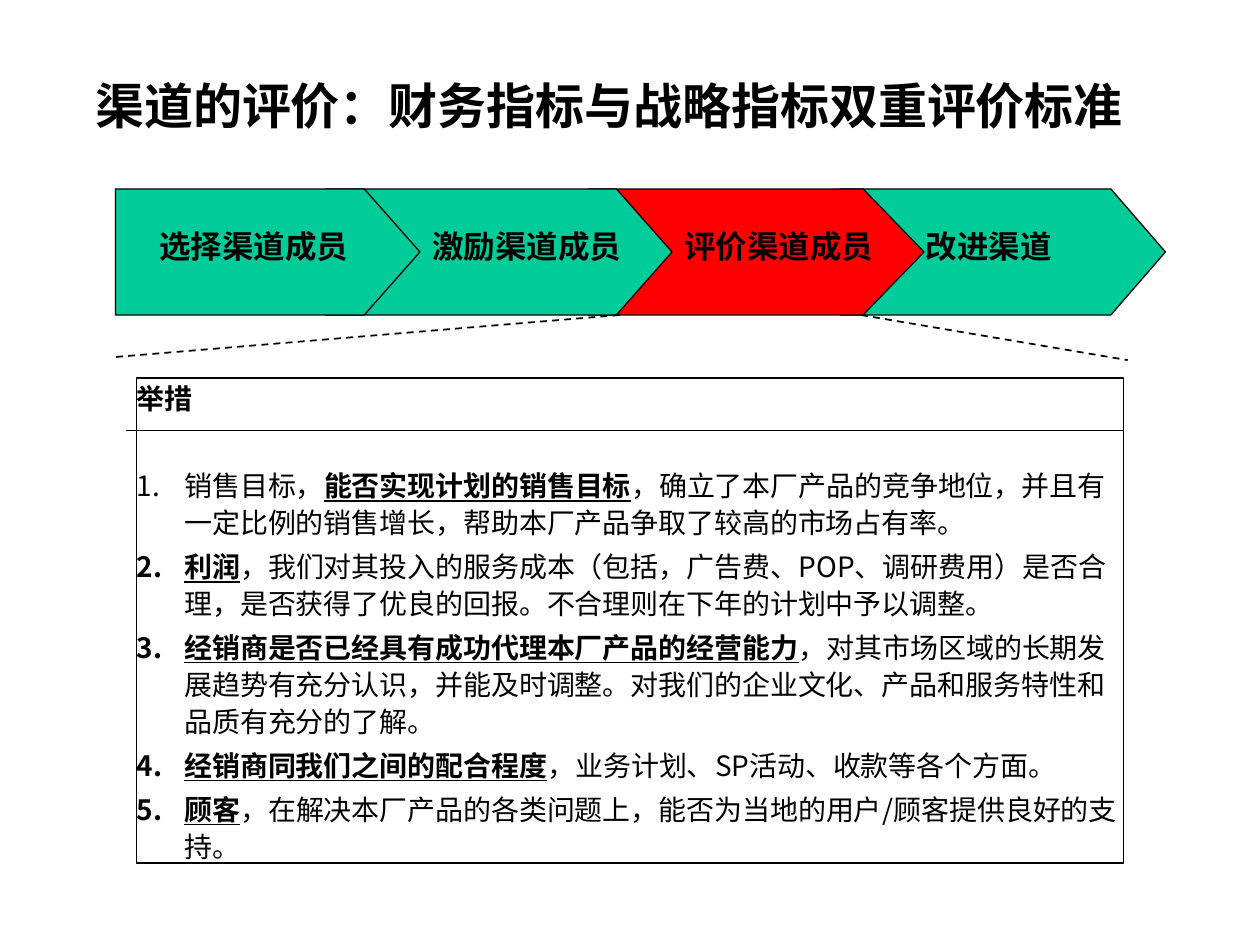
"""Build the channel evaluation slide on a grid of 120 columns by 90 rows."""
from lxml.etree import SubElement
from pptx import Presentation
from pptx.dml.color import RGBColor
from pptx.enum.dml import MSO_LINE
from pptx.enum.shapes import MSO_CONNECTOR, MSO_SHAPE
from pptx.enum.text import MSO_ANCHOR, PP_ALIGN
from pptx.oxml.ns import qn
from pptx.util import Inches, Pt

COLORS = {k: RGBColor.from_string(v) for k, v in
          {"ink": "000000", "step": "00CC99", "active": "FF0000"}.items()}
CJK = "Noto Sans CJK SC"

prs = Presentation()
prs.slide_width, prs.slide_height = Inches(10), Inches(7.5)
U = prs.slide_width / 120
s = prs.slides.add_slide(prs.slide_layouts[6])


def grid(*cells):
    return [round(c * U) for c in cells]


def add_run(p, text, size, latin, bold=True, underline=False):
    r = p.add_run()
    r.text = text
    r.font.size, r.font.name = Pt(size), latin
    r.font.bold, r.font.underline = bold, underline
    r.font.color.rgb = COLORS["ink"]
    SubElement(r.font._element, qn("a:ea"), typeface=CJK)


steps = [
    ("改进渠道", 80, 105.8, 111, 87, "step"),
    ("评价渠道成员", 56, 82.2, 88, 64, "active"),
    ("激励渠道成员", 31, 58.7, 64, 40, "step"),
    ("选择渠道成员", 11, 34.7, 40, 14, "step"),
]
for _, left, shoulder, tip, _, color in steps:
    fb = s.shapes.build_freeform(*grid(left, 18), scale=1.0)
    fb.add_line_segments([grid(*pt) for pt in
                          ((shoulder, 18), (tip, 24), (shoulder, 30), (left, 30))])
    sp = fb.convert_to_shape()
    sp.shadow.inherit = False
    sp.fill.solid()
    sp.fill.fore_color.rgb = COLORS[color]
    sp.line.color.rgb = COLORS["ink"]
    sp.line.width = Pt(0.75)

texts = [("渠道的评价：财务指标与战略指标双重评价标准", (6, 4, 104, 12), 28,
          PP_ALIGN.CENTER, MSO_ANCHOR.MIDDLE)]
texts += [(label, (x, 21, 21, 4.8), 18, PP_ALIGN.LEFT, MSO_ANCHOR.TOP)
          for label, _, _, _, x, _ in steps]
for text, box, size, align, anchor in texts:
    tf = s.shapes.add_textbox(*grid(*box)).text_frame
    tf.word_wrap = True
    tf.vertical_anchor = anchor
    tf.paragraphs[0].alignment = align
    add_run(tf.paragraphs[0], text, size, "Times New Roman")

sp = s.shapes.add_shape(MSO_SHAPE.RECTANGLE, *grid(13, 36, 94, 46.2))
sp.shadow.inherit = False
sp.fill.background()
sp.line.color.rgb = COLORS["ink"]
sp.line.width = Pt(0.75)
tf = sp.text_frame
tf.word_wrap = True
tf.vertical_anchor = MSO_ANCHOR.TOP
tf.margin_left = tf.margin_top = tf.margin_right = tf.margin_bottom = 0
p = tf.paragraphs[0]
p.alignment = PP_ALIGN.LEFT
p.line_spacing = 1.1
add_run(p, "举措", 16, CJK)

measures = [
    ("销售目标，", "能否实现计划的销售目标",
     "，确立了本厂产品的竞争地位，并且有一定比例的销售增长，帮助本厂产品争取了较高的市场占有率。"),
    ("", "利润", "，我们对其投入的服务成本（包括，广告费、POP、调研费用）是否合理，"
     "是否获得了优良的回报。不合理则在下年的计划中予以调整。"),
    ("", "经销商是否已经具有成功代理本厂产品的经营能力",
     "，对其市场区域的长期发展趋势有充分认识，并能及时调整。"
     "对我们的企业文化、产品和服务特性和品质有充分的了解。"),
    ("", "经销商同我们之间的配合程度", "，业务计划、SP活动、收款等各个方面。"),
    ("", "顾客", "，在解决本厂产品的各类问题上，能否为当地的用户/顾客提供良好的支持。"),
]
for i, (lead, key, rest) in enumerate(measures):
    p = tf.add_paragraph()
    p.alignment = PP_ALIGN.LEFT
    p.line_spacing = 1.1
    p.space_before = Pt(4 if i else 29)
    pPr = p._p.get_or_add_pPr()
    pPr.set("marL", str(Inches(0.38)))
    pPr.set("indent", str(-Inches(0.38)))
    SubElement(pPr, qn("a:buFont"), typeface=CJK)
    SubElement(pPr, qn("a:buAutoNum"), type="arabicPeriod")
    if lead:
        add_run(p, lead, 16, CJK, bold=False)
    add_run(p, key, 16, CJK, underline=True)
    add_run(p, rest, 16, CJK, bold=False)

for ends, dash in (((82, 30, 107.4, 34.3), MSO_LINE.DASH),
                   ((59, 30, 11, 34), MSO_LINE.DASH),
                   ((12, 41, 107, 41), MSO_LINE.SOLID)):
    ln = s.shapes.add_connector(MSO_CONNECTOR.STRAIGHT, *grid(*ends))
    ln.line.color.rgb = COLORS["ink"]
    ln.line.width = Pt(1)
    ln.line.dash_style = dash
    SubElement(ln._element.spPr, qn("a:effectLst"))

prs.save("out.pptx")
